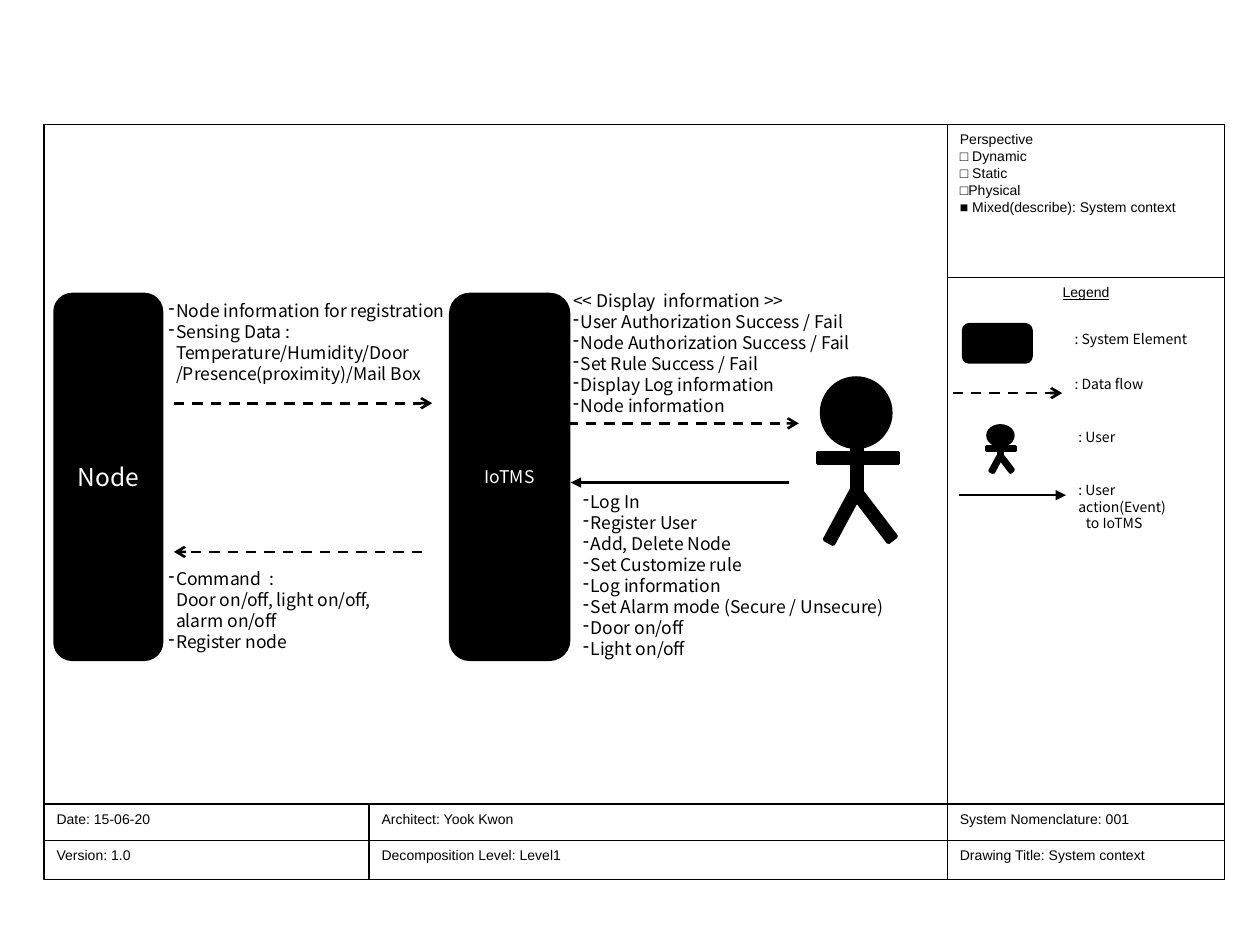
from lxml import etree
from pptx import Presentation
from pptx import util as u
from pptx.dml.color import RGBColor
from pptx.enum import dml, shapes, text
from pptx.oxml.ns import qn

COLORS = {"ink": "000000", "paper": "FFFFFF"}
SANS = "Noto Sans CJK KR"
HANG = u.Inches(0.06)
SHAPE = shapes.MSO_SHAPE

COLUMNS = [0.35, 2.93, 7.52, 9.72]
ROWS = [6.38, 6.67, 6.98]
TITLE_BLOCK = [
    ["Date: 15-06-20", "Architect: Yook Kwon", "System Nomenclature: 001"],
    ["Version: 1.0", "Decomposition Level: Level1", "Drawing Title: System context"],
]
PERSPECTIVE = [
    "Perspective",
    "□ Dynamic",
    "□ Static",
    "□Physical",
    "■ Mixed(describe): System context",
]
COMMANDS = [
    "- Command  :",
    "  Door on/off, light on/off,",
    "  alarm on/off",
    "- Register node",
]
NODE_DATA = [
    "- Node information for registration",
    "- Sensing Data :",
    "  Temperature/Humidity/Door",
    "  /Presence(proximity)/Mail Box",
]
USER_ACTIONS = [
    "- Log In",
    "- Register User",
    "- Add, Delete Node",
    "- Set Customize rule",
    "- Log information",
    "- Set Alarm mode (Secure / Unsecure)",
    "- Door on/off",
    "- Light on/off",
]
DISPLAY = [
    "<< Display  information >>",
    "- User Authorization Success / Fail",
    "- Node Authorization Success / Fail",
    "- Set Rule Success / Fail",
    "- Display Log information",
    "- Node information",
]
USER_PARTS = [
    (SHAPE.OVAL, 0.03, 0, 0.55, 0.55, 0),
    (SHAPE.RECTANGLE, 0.27, 0.55, 0.08, 0.39, 0),
    (SHAPE.RECTANGLE, 0, 0.59, 0.64, 0.09, 0),
    (SHAPE.RECTANGLE, 0.16, 0.86, 0.08, 0.47, 28.3),
    (SHAPE.RECTANGLE, 0.41, 0.86, 0.08, 0.47, 322.7),
]


def rgb(name):
    return RGBColor.from_string(COLORS[name])


def write(tf, lines, size=8, font="Arial", color="ink", align=text.PP_ALIGN.LEFT,
          anchor=text.MSO_ANCHOR.TOP, underline=None, spacing=None):
    tf.word_wrap = True
    tf.vertical_anchor = anchor
    for i, line in enumerate(lines):
        p = tf.paragraphs[0] if i == 0 else tf.add_paragraph()
        p.alignment = align
        if spacing:
            p.line_spacing = u.Pt(spacing)
        pPr = p._p.get_or_add_pPr()
        if line.startswith(("- ", "  ")):
            pPr.set("marL", str(HANG))
        if line.startswith("- "):
            pPr.set("indent", str(-HANG))
            etree.SubElement(pPr, qn("a:buChar")).set("char", "-")
            line = line[2:]
        r = p.add_run()
        r.text = line.strip()
        r.font.size = u.Pt(size)
        r.font.name = font
        r.font.color.rgb = rgb(color)
        r.font.underline = underline


def add_box(parent, kind, left, top, width, height, fill="ink", weight=1.0):
    sp = parent.add_shape(kind, *map(u.Inches, (left, top, width, height)))
    sp.shadow.inherit = False
    if fill:
        sp.fill.solid()
        sp.fill.fore_color.rgb = rgb(fill)
    else:
        sp.fill.background()
    sp.line.color.rgb = rgb("ink")
    sp.line.width = u.Pt(weight)
    return sp


def add_frame(s, left, top, right, bottom, lines=(), **fmt):
    sp = add_box(s.shapes, SHAPE.RECTANGLE, left, top, right - left, bottom - top,
                 fill=None, weight=0.75)
    write(sp.text_frame, lines, **fmt)


def add_element(s, left, top, width, height, label=None, size=10):
    sp = add_box(s.shapes, SHAPE.ROUNDED_RECTANGLE, left, top, width, height)
    if label:
        write(sp.text_frame, [label], size=size, font=SANS, color="paper",
              align=text.PP_ALIGN.CENTER, anchor=text.MSO_ANCHOR.MIDDLE)


def add_arrow(s, x1, x2, y, flow=True):
    line = s.shapes.add_connector(shapes.MSO_CONNECTOR.STRAIGHT,
                                  *map(u.Inches, (x1, y, x2, y)))
    line.line.color.rgb = rgb("ink")
    line.line.width = u.Pt(1.5)
    if flow:
        line.line.dash_style = dml.MSO_LINE.DASH
    tail = etree.SubElement(line.line._get_or_add_ln(), qn("a:tailEnd"))
    tail.set("type", "arrow" if flow else "triangle")
    etree.SubElement(line._element.spPr, qn("a:effectLst"))


def add_note(s, left, top, width, height, lines, size=10):
    sp = s.shapes.add_textbox(*map(u.Inches, (left, top, width, height)))
    write(sp.text_frame, lines, size=size, font=SANS, spacing=size * 1.2)


def add_user(s, left, top, sx=1.0, sy=1.0):
    group = s.shapes.add_group_shape()
    for kind, x, y, w, h, angle in USER_PARTS:
        sp = add_box(group.shapes, kind, left + x * sx, top + y * sy, w * sx, h * sy,
                     weight=2)
        sp.rotation = angle


def add_frames(s):
    left, _, side, right = COLUMNS
    add_frame(s, side, 0.99, right, 2.2, PERSPECTIVE)
    add_frame(s, left, 0.99, side, ROWS[0])
    add_frame(s, side, 2.2, right, ROWS[0], ["Legend"],
              align=text.PP_ALIGN.CENTER, underline=True)
    for row, top, bottom in zip(TITLE_BLOCK, ROWS, ROWS[1:]):
        for label, x1, x2 in zip(row, COLUMNS, COLUMNS[1:]):
            add_frame(s, x1, top, x2, bottom, [label])


def add_context(s):
    add_element(s, 3.57, 2.33, 0.95, 2.91, "IoTMS")
    add_element(s, 0.43, 2.33, 0.86, 2.91, "Node", size=14)
    add_arrow(s, 1.38, 3.43, 3.2)
    add_arrow(s, 3.35, 1.38, 4.38)
    add_arrow(s, 4.21, 6.34, 3.36)
    add_arrow(s, 6.26, 4.53, 3.83, flow=False)
    add_note(s, 1.24, 4.46, 2.44, 0.77, COMMANDS)
    add_note(s, 1.24, 2.33, 2.83, 0.77, NODE_DATA)
    add_note(s, 4.53, 3.85, 2.84, 1.45, USER_ACTIONS)
    add_note(s, 4.45, 2.25, 2.68, 1.11, DISPLAY)
    add_user(s, 6.49, 3)


def add_legend(s):
    add_element(s, 7.64, 2.57, 0.55, 0.31)
    add_arrow(s, 7.56, 8.43, 3.12)
    add_user(s, 7.83, 3.38, sx=0.36, sy=0.28)
    add_arrow(s, 7.61, 8.46, 3.93, flow=False)
    add_note(s, 8.43, 2.57, 1.18, 0.24, [": System Element"], size=8)
    add_note(s, 8.43, 2.93, 1.18, 0.24, [": Data flow"], size=8)
    add_note(s, 8.46, 3.35, 1.18, 0.24, [": User"], size=8)
    add_note(s, 8.46, 3.77, 1.18, 0.37, [": User action(Event)", "  to IoTMS"], size=8)


def main():
    prs = Presentation()
    prs.slide_width, prs.slide_height = u.Inches(10), u.Inches(7.5)
    s = prs.slides.add_slide(prs.slide_layouts[6])
    add_frames(s)
    add_context(s)
    add_legend(s)
    prs.save("out.pptx")


main()
